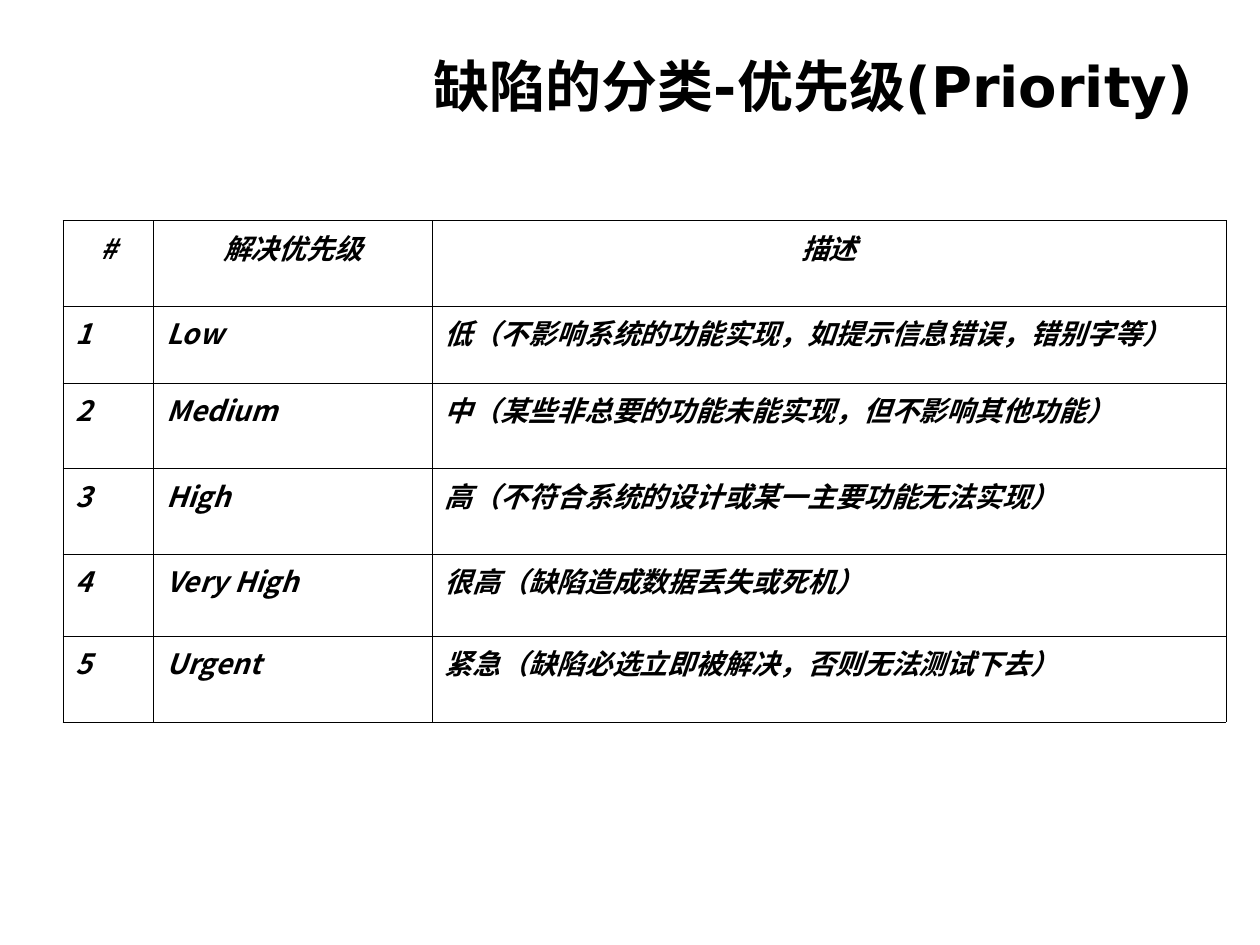
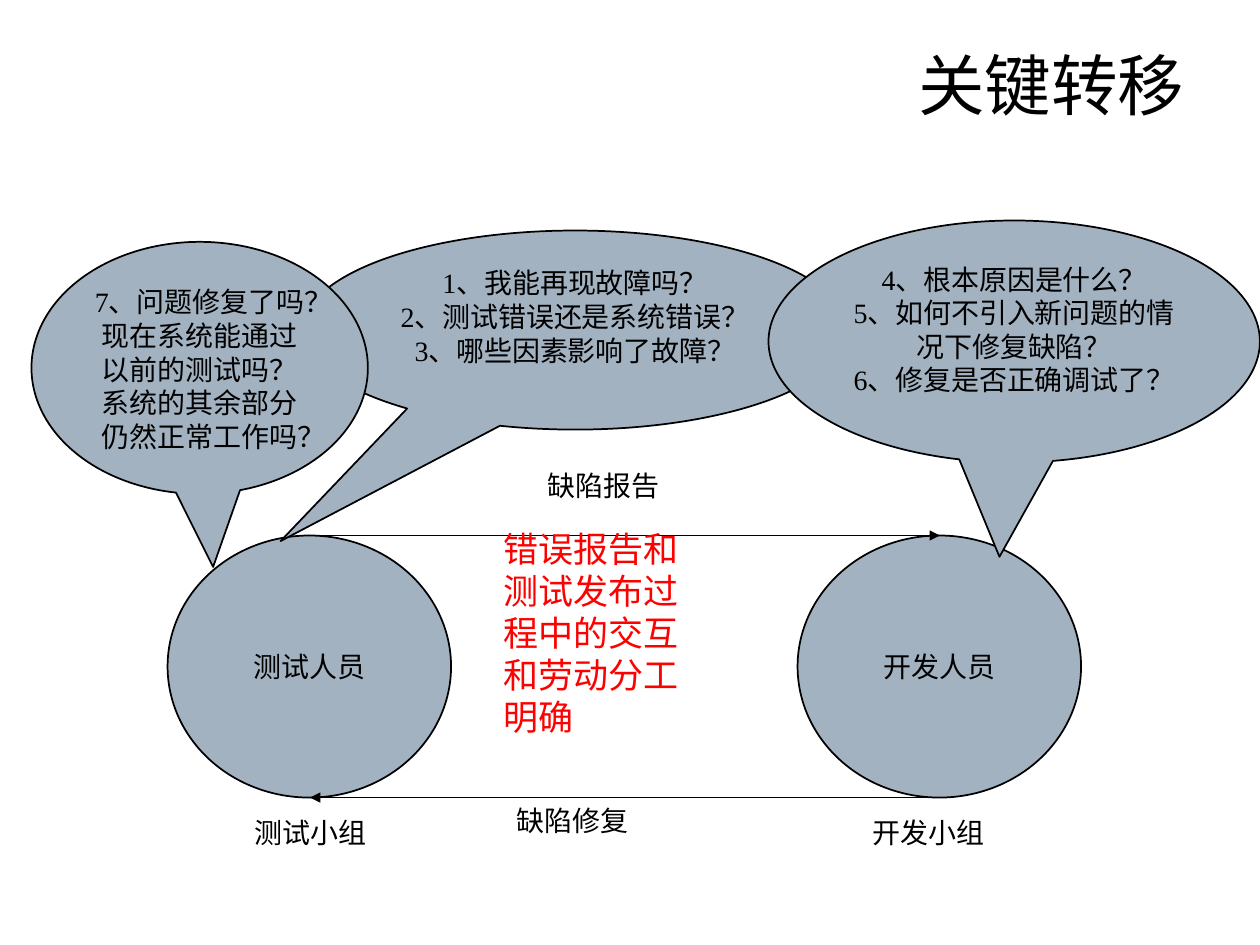
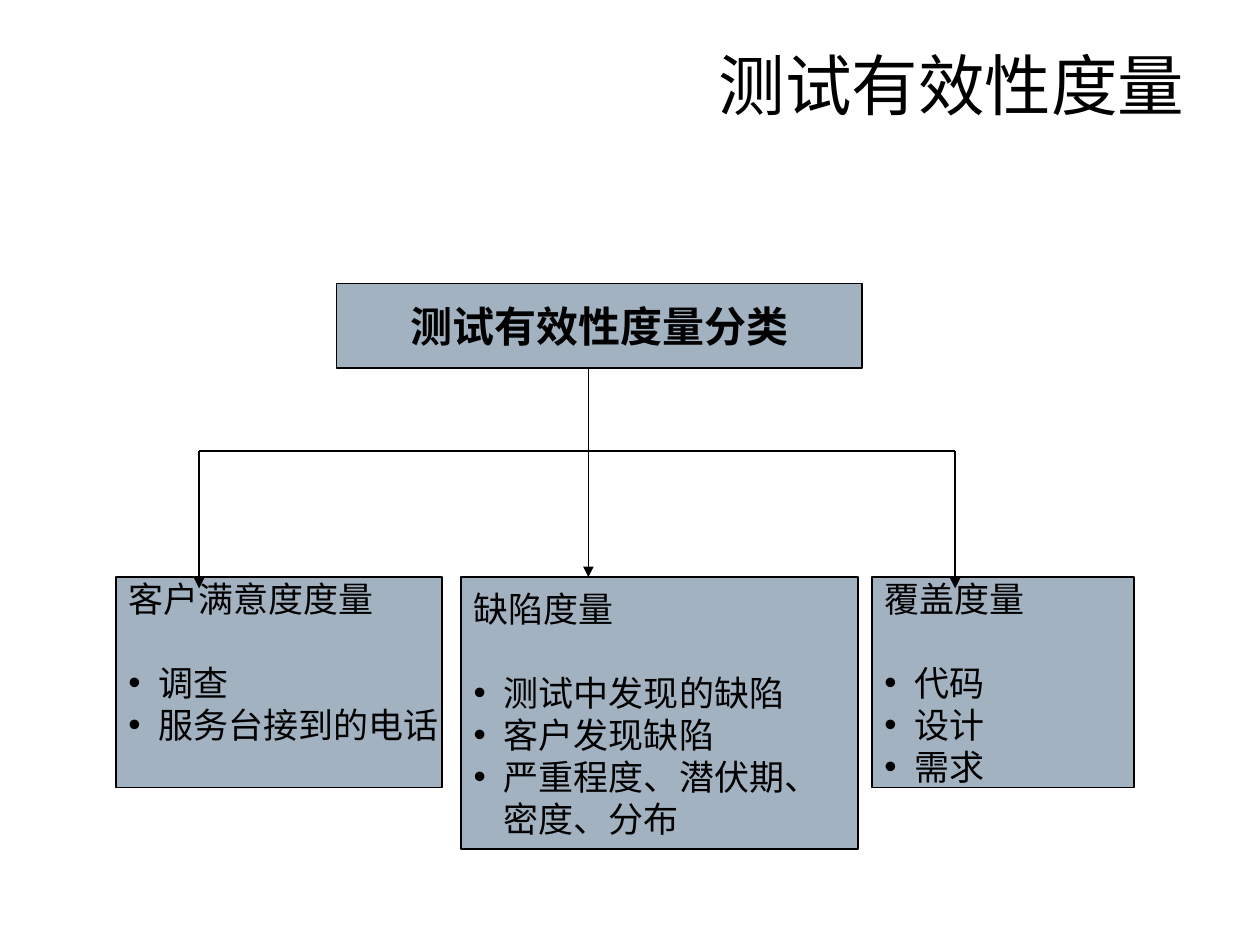
from pptx import Presentation, util as u
from pptx.dml.color import RGBColor
from pptx.enum import lang, shapes, text
from pptx.oxml import ns
from lxml import etree

Inches, Pt = u.Inches, u.Pt
BLACK = RGBColor(0x00, 0x00, 0x00)
RED = RGBColor(0xFF, 0x00, 0x00)
STEEL = RGBColor(0xA3, 0xB2, 0xC1)
TITLE_FONT = "DejaVu Sans"
BODY_FONT = "Times New Roman"
CJK_FONT = "Noto Sans CJK SC"
LEFT, CENTER, RIGHT = text.PP_ALIGN.LEFT, text.PP_ALIGN.CENTER, text.PP_ALIGN.RIGHT
TOP, MIDDLE = text.MSO_ANCHOR.TOP, text.MSO_ANCHOR.MIDDLE
ELLIPSE = shapes.MSO_SHAPE.OVAL
CALLOUT = shapes.MSO_SHAPE.OVAL_CALLOUT
RECTANGLE = shapes.MSO_SHAPE.RECTANGLE

PRIORITY_COLUMNS = (0.72, 2.21, 6.3)
PRIORITY_ROWS = (
    (0.68, "#", "解决优先级", "描述"),
    (0.61, "1", "Low", "低（不影响系统的功能实现，如提示信息错误，错别字等）"),
    (0.68, "2", "Medium", "中（某些非总要的功能未能实现，但不影响其他功能）"),
    (0.68, "3", "High", "高（不符合系统的设计或某一主要功能无法实现）"),
    (0.65, "4", "Very High", "很高（缺陷造成数据丢失或死机）"),
    (0.68, "5", "Urgent", "紧急（缺陷必选立即被解决，否则无法测试下去）"),
)
TEAMS = ((1.08, "测试人员", "测试小组", 0.59), (6.08, "开发人员", "开发小组", 0.5))
QUESTIONS = (
    ((2.15, 0.08, 4.33, 1.58), (-0.54, 1.06),
     ("1、我能再现故障吗？", "2、测试错误还是系统错误？", "3、哪些因素影响了故障？")),
    ((5.85, 0, 3.9, 1.92), (-0.03, 0.89),
     ("4、根本原因是什么？", "5、如何不引入新问题的情况下修复缺陷？", "6、修复是否正确调试了？")),
    ((0, 0.17, 2.67, 2), (0.04, 0.79),
     ("7、问题修复了吗？现在系统能通过以前的测试吗？系统的其余部分仍然正常工作吗？",)),
)
METRICS = (
    ((0, 2.33, 2.59, 1.67), False, 0.38, "客户满意度度量", ("调查", "服务台接到的电话")),
    ((2.74, 2.33, 3.15, 2.16), True, 0.05, "缺陷度量",
     ("测试中发现的缺陷", "客户发现缺陷", "严重程度、潜伏期、密度、分布")),
    ((6, 2.33, 2.08, 1.67), False, 0.05, "覆盖度量", ("代码", "设计", "需求")),
)


def within(box, part):
    return box[0] + part[0], box[1] + part[1], part[2], part[3]


def write(frame, lines, size, align=LEFT, color=BLACK, font=BODY_FONT, bold=False,
          italic=False):
    for index, line in enumerate(lines):
        paragraph = frame.paragraphs[0] if index == 0 else frame.add_paragraph()
        paragraph.alignment = align
        run = paragraph.add_run()
        run.text = line
        run.font.size = Pt(size)
        run.font.bold = bold
        run.font.italic = italic
        run.font.color.rgb = color
        run.font.name = font
        run.font.language_id = lang.MSO_LANGUAGE_ID.SIMPLIFIED_CHINESE
        etree.SubElement(run.font._element, ns.qn("a:ea"), typeface=CJK_FONT)


def add_label(slide, box, line, size=16, **style):
    frame = slide.shapes.add_textbox(*map(Inches, box)).text_frame
    frame.word_wrap = True
    frame.vertical_anchor = TOP
    write(frame, [line], size, **style)


def add_block(slide, kind, box, lines, size=16, align=CENTER, anchor=MIDDLE, wrap=False,
              bold=False):
    block = slide.shapes.add_shape(kind, *map(Inches, box))
    block.shadow.inherit = False
    block.fill.solid()
    block.fill.fore_color.rgb = STEEL
    block.line.color.rgb = BLACK
    block.line.width = Pt(1)
    block.text_frame.word_wrap = wrap
    block.text_frame.vertical_anchor = anchor
    write(block.text_frame, lines, size, align, bold=bold)
    return block


def add_line(slide, box, start, end, arrow=True):
    points = [Inches(box[axis] + point[axis]) for point in (start, end) for axis in (0, 1)]
    line = slide.shapes.add_connector(shapes.MSO_CONNECTOR.STRAIGHT, *points)
    line.line.color.rgb = BLACK
    line.line.width = Pt(1)
    if arrow:
        etree.SubElement(line.line._get_or_add_ln(), ns.qn("a:tailEnd"), type="triangle")
    etree.SubElement(line._element.spPr, ns.qn("a:effectLst"))


def add_bullet(paragraph):
    properties = paragraph._p.get_or_add_pPr()
    properties.set("marL", str(Inches(0.24)))
    properties.set("indent", str(-Inches(0.24)))
    etree.SubElement(properties, ns.qn("a:buFont"), typeface="Arial")
    etree.SubElement(properties, ns.qn("a:buChar"), char="•")


def add_borders(cell):
    properties = cell._tc.get_or_add_tcPr()
    for side in ("lnL", "lnR", "lnT", "lnB"):
        border = etree.SubElement(properties, ns.qn(f"a:{side}"), w=str(Pt(0.45)))
        fill = etree.SubElement(border, ns.qn("a:solidFill"))
        etree.SubElement(fill, ns.qn("a:srgbClr"), val=str(BLACK))


def add_titled_slide(deck, title, box=(0.5, 0.3, 9, 1.25), size=38, bold=False):
    slide = deck.slides.add_slide(deck.slide_layouts[6])
    add_label(slide, box, title, size, align=RIGHT, font=TITLE_FONT, bold=bold)
    return slide


def priority_table(slide, box):
    grid = slide.shapes.add_table(len(PRIORITY_ROWS), len(PRIORITY_COLUMNS),
                                  *map(Inches, box)).table
    for column, width in zip(grid.columns, PRIORITY_COLUMNS):
        column.width = Inches(width)
    for row_index, (height, *entries) in enumerate(PRIORITY_ROWS):
        grid.rows[row_index].height = Inches(height)
        for column_index, entry in enumerate(entries):
            cell = grid.cell(row_index, column_index)
            add_borders(cell)
            cell.fill.background()
            write(cell.text_frame, [entry], 16, LEFT if row_index else CENTER,
                  font=CJK_FONT, bold=True, italic=True)


def transfer_diagram(slide, box):
    for left, person, team, indent in TEAMS:
        add_block(slide, ELLIPSE, within(box, (left, 2.5, 2.25, 2.08)), [person])
        add_label(slide, within(box, (left + indent, 4.67, 1.25, 0.37)), team)
    tester, developer = 2.21, 7.21
    add_line(slide, box, (tester, 2.5), (developer, 2.5))
    add_label(slide, within(box, (4, 1.92, 1.25, 0.37)), "缺陷报告")
    add_line(slide, box, (developer, 4.58), (tester, 4.58))
    add_label(slide, within(box, (3.75, 4.58, 1.67, 0.37)), "缺陷修复")
    for part, pointer, questions in QUESTIONS:
        callout = add_block(slide, CALLOUT, within(box, part), questions, anchor=TOP,
                            wrap=True)
        for index, offset in enumerate(pointer):
            callout.adjustments[index] = offset
    add_label(slide, within(box, (3.65, 2.39, 1.67, 1.77)),
              "错误报告和测试发布过程中的交互和劳动分工明确", 20, color=RED)


def metric_tree(slide, box):
    add_block(slide, RECTANGLE, within(box, (1.75, 0, 4.17, 0.67)),
              ["测试有效性度量分类"], 24, bold=True)
    for part, wrap, bottom, heading, items in METRICS:
        metric = add_block(slide, RECTANGLE, within(box, part), [heading, *items], 20,
                           LEFT, wrap=wrap)
        metric.text_frame.margin_bottom = Inches(bottom)
        bullets = metric.text_frame.paragraphs[1:]
        bullets[0].space_before = Pt(24)
        for bullet in bullets:
            add_bullet(bullet)
    first, middle, last, branch = 0.66, 3.75, 6.66, 1.33
    add_line(slide, box, (middle, 0.67), (middle, 2.33))
    add_line(slide, box, (first, branch), (last, branch), arrow=False)
    for end in (first, last):
        add_line(slide, box, (end, branch), (end, 2.42))


def main():
    deck = Presentation()
    deck.slide_width, deck.slide_height = Inches(10), Inches(7.5)
    priority = add_titled_slide(deck, "缺陷的分类-优先级(Priority)", (0.57, 0.36, 9, 1.03),
                                32, True)
    priority_table(priority, (0.5, 1.75, 9.23, 3.98))
    transfer_diagram(add_titled_slide(deck, "关键转移"), (0.25, 1.75, 9.75, 5.04))
    metric_tree(add_titled_slide(deck, "测试有效性度量"), (0.92, 2.25, 8.08, 4.49))
    deck.save("out.pptx")


if __name__ == "__main__":
    main()
